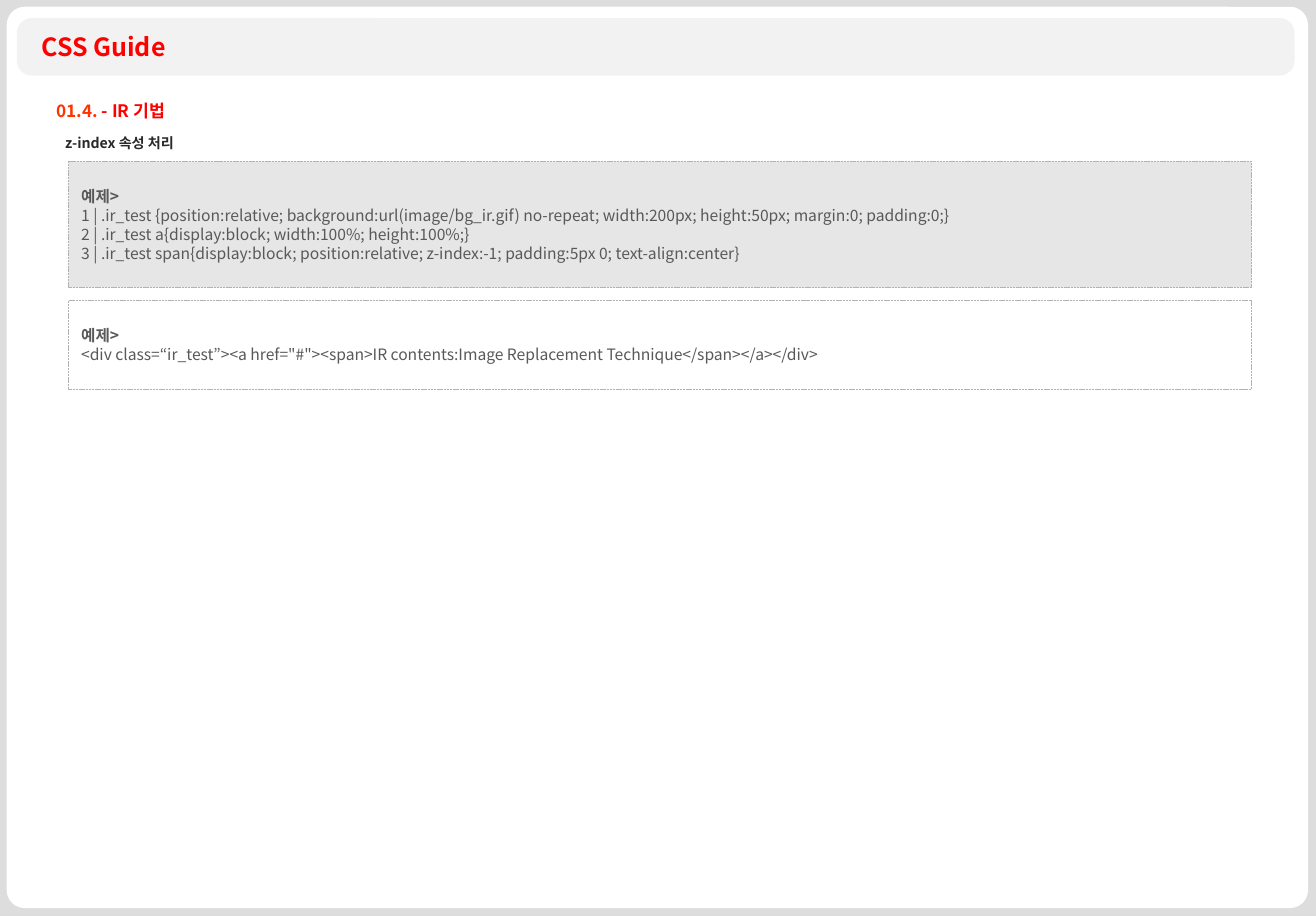
from lxml import etree
from pptx import Presentation
from pptx.dml.color import RGBColor
from pptx.enum.dml import MSO_LINE
from pptx.enum.shapes import MSO_SHAPE
from pptx.enum.text import MSO_ANCHOR, PP_ALIGN
from pptx.oxml.ns import qn
from pptx.util import Inches, Pt

FONT = "Noto Sans CJK KR"


def color(value):
    return RGBColor.from_string(value)


def style(paragraph, size, bold, text_color):
    paragraph.alignment = PP_ALIGN.LEFT
    font = paragraph.font
    font.size, font.bold, font.name = Pt(size), bold, FONT
    font.color.rgb = color(text_color)
    defaults = paragraph._p.pPr.find(qn("a:defRPr"))
    etree.SubElement(defaults, qn("a:ea")).set("typeface", FONT)


prs = Presentation()
prs.slide_width, prs.slide_height = Inches(11.67), Inches(8.12)
slide = prs.slides.add_slide(prs.slide_layouts[6])
shapes = slide.shapes
slide.background.fill.solid()
slide.background.fill.fore_color.rgb = color("DDDDDD")

for left, top, width, height, corner, fill in [
    (0.06, 0.06, 11.54, 7.99, 0.02, "FFFFFF"),
    (0.15, 0.16, 11.33, 0.51, 0.26, "F2F2F2"),
]:
    panel = shapes.add_shape(MSO_SHAPE.ROUNDED_RECTANGLE, Inches(left), Inches(top), Inches(width), Inches(height))
    panel.adjustments[0] = corner
    panel.shadow.inherit = False
    panel.fill.solid()
    panel.fill.fore_color.rgb = color(fill)
    panel.line.fill.background()

for left, top, width, height, size, runs in [
    (0.48, 1.14, 10.19, 0.25, 9, [("z-index 속성 처리", "292929")]),
    (0.27, 0.23, 1.31, 0.37, 16, [("CSS Guide", "FF0000")]),
    (0.4, 0.84, 1.23, 0.29, 11, [("01.4.", "FF3300"), (" - IR 기법", "FF0000")]),
]:
    heading = shapes.add_textbox(Inches(left), Inches(top), Inches(width), Inches(height))
    heading.text_frame.word_wrap = False
    paragraph = heading.text_frame.paragraphs[0]
    for text, text_color in runs:
        run = paragraph.add_run()
        run.text = text
        run.font.color.rgb = color(text_color)
    style(paragraph, size, True, runs[0][1])

for top, height, fill, code in [
    (1.43, 1.12, "E6E6E6", [
        "1 | .ir_test {position:relative; background:url(image/bg_ir.gif) no-repeat; width:200px; height:50px; margin:0; padding:0;}",
        "2 | .ir_test a{display:block; width:100%; height:100%;}",
        "3 | .ir_test span{display:block; position:relative; z-index:-1; padding:5px 0; text-align:center}",
    ]),
    (2.66, 0.79, "FFFFFF", [
        '<div class=“ir_test”><a href="#"><span>IR contents:Image Replacement Technique</span></a></div>',
    ]),
]:
    example = shapes.add_shape(MSO_SHAPE.RECTANGLE, Inches(0.61), Inches(top), Inches(10.49), Inches(height))
    example.shadow.inherit = False
    example.fill.solid()
    example.fill.fore_color.rgb = color(fill)
    example.line.color.rgb = color("B2B2B2")
    example.line.width = Pt(0.5)
    example.line.dash_style = MSO_LINE.SQUARE_DOT
    frame = example.text_frame
    frame.word_wrap = True
    frame.vertical_anchor = MSO_ANCHOR.MIDDLE
    frame.margin_left = frame.margin_right = Inches(0.11)
    frame.margin_top = frame.margin_bottom = Inches(0.06)
    frame.text = "\n".join(["예제>"] + code)
    for index, paragraph in enumerate(frame.paragraphs):
        style(paragraph, 10, index == 0, "595959")

prs.save("out.pptx")
